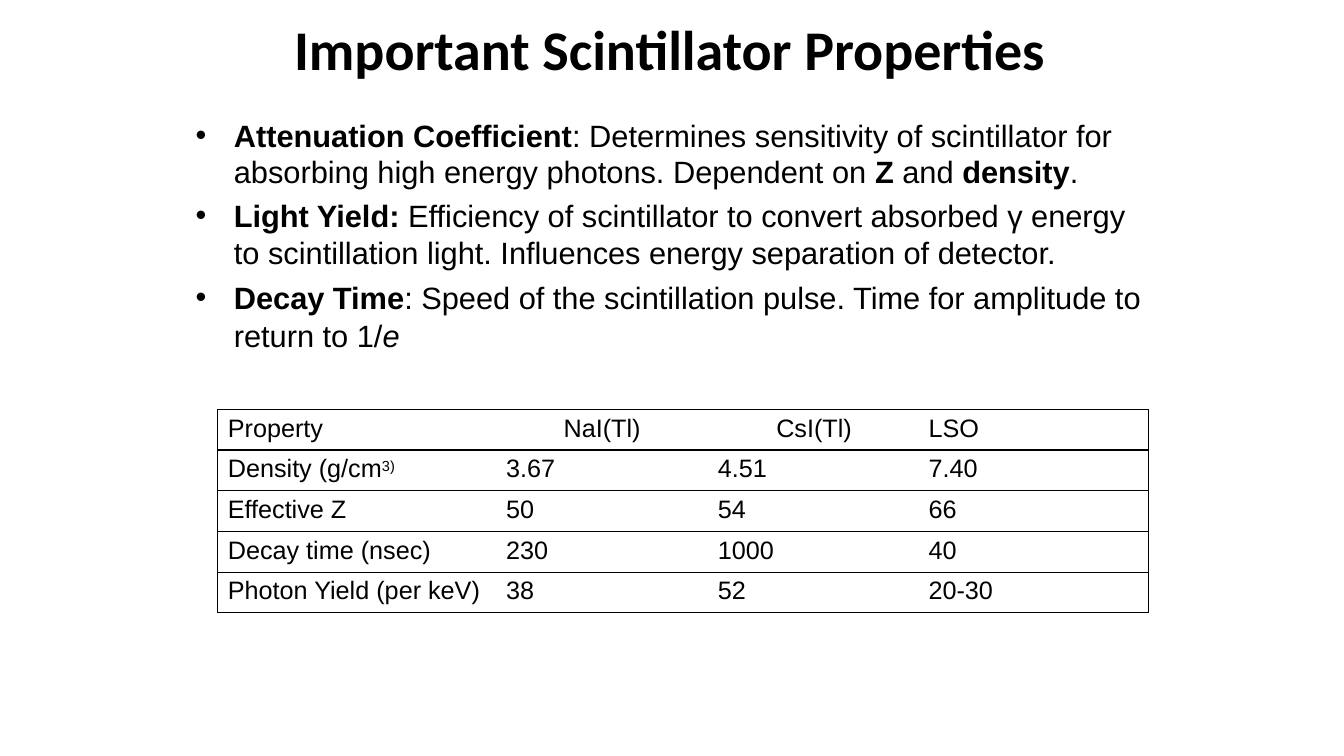
from lxml import etree
from pptx import Presentation
from pptx.dml.color import RGBColor
from pptx.enum.text import MSO_ANCHOR as Anchor, PP_ALIGN as Align
from pptx.oxml.ns import qn
from pptx.util import Inches, Pt

COLORS = {"ink": "000000"}
BOLD = {"bold": True}
ITALIC = {"italic": True}


def write(paragraph, runs, size, face="Arial"):
    for text, style in runs:
        run = paragraph.add_run()
        run.text = text
        look = {"size": Pt(size), "name": face, "bold": False, **style}
        for key, value in look.items():
            setattr(run.font, key, value)
        run.font.color.rgb = RGBColor.from_string(COLORS["ink"])


def set_border(properties, side, visible):
    line = etree.SubElement(properties, qn(f"a:ln{side}"), w=str(Pt(1)))
    if visible:
        fill = etree.SubElement(line, qn("a:solidFill"))
        etree.SubElement(fill, qn("a:srgbClr"), val=COLORS["ink"])
    else:
        etree.SubElement(line, qn("a:noFill"))


deck = Presentation()
deck.slide_width = Inches(13.33)
deck.slide_height = Inches(7.5)
slide = deck.slides.add_slide(deck.slide_layouts[6])

heading = slide.shapes.add_textbox(Inches(0.89), Inches(0.08), Inches(11.5), Inches(0.78)).text_frame
definitions = slide.shapes.add_textbox(Inches(1.93), Inches(1.13), Inches(9.42), Inches(2.39)).text_frame
for frame, top_inset in ((heading, 0.01), (definitions, 0.03)):
    margins = {"margin_left": 0, "margin_right": 0, "margin_top": Inches(top_inset), "margin_bottom": 0}
    for key, value in {"word_wrap": True, **margins}.items():
        setattr(frame, key, value)

heading.vertical_anchor = Anchor.MIDDLE
heading.paragraphs[0].alignment = Align.CENTER
write(heading.paragraphs[0], [("Important Scintillator Properties", BOLD)], 40, "Calibri")

properties_explained = [
    (Pt(26), 0, [
        ("Attenuation Coefficient", BOLD),
        (": Determines sensitivity of scintillator for absorbing high energy photons. Dependent on ", {}),
        ("Z ", BOLD), ("and ", {}), ("density", BOLD), (".", {})]),
    (1.02, 4.2, [
        ("Light Yield: ", BOLD),
        ("Efficiency of scintillator to convert absorbed γ energy to scintillation light. "
         "Influences energy separation of detector.", {})]),
    (1.02, 5, [
        ("Decay Time", BOLD),
        (": Speed of the scintillation pulse. Time for amplitude to return to 1/", {}),
        ("e", ITALIC)]),
]
for index, (line_spacing, space_before, runs) in enumerate(properties_explained):
    definition = definitions.add_paragraph() if index else definitions.paragraphs[0]
    definition.line_spacing = line_spacing
    definition.space_before = Pt(space_before)
    layout = definition._p.get_or_add_pPr()
    layout.set("marL", str(Inches(0.39)))
    layout.set("indent", str(Inches(-0.38)))
    etree.SubElement(layout, qn("a:buFont"), typeface="Arial")
    etree.SubElement(layout, qn("a:buChar"), char="•")
    write(definition, runs, 22)

column_widths = [2.73, 0.66, 1.19, 0.95, 1.14, 2.56]
materials = [
    ("Property", "NaI(Tl)", "CsI(Tl)", "LSO"),
    ("Density (g/cm", "3.67", "4.51", "7.40"),
    ("Effective Z", "50", "54", "66"),
    ("Decay time (nsec)", "230", "1000", "40"),
    ("Photon Yield (per keV)", "38", "52", "20-30"),
]
header_places = [(0, 0.1), (2, 0.04), (4, 0.01), (5, 0.38)]
value_places = [(0, 0.1), (1, 0.13), (3, 0.38), (5, 0.38)]

comparison = slide.shapes.add_table(
    len(materials), len(column_widths), Inches(2.16), Inches(4.06), Inches(9.23), Inches(2.02)).table
comparison.first_row = False
comparison.horz_banding = False
for column, width in zip(comparison.columns, column_widths):
    column.width = Inches(width)

last = len(column_widths) - 1
for row_index, row in enumerate(comparison.rows):
    row.height = Inches(0.404)
    for column_index, cell in enumerate(row.cells):
        cell.margin_left = cell.margin_right = cell.margin_bottom = 0
        cell.margin_top = Inches(0.05)
        borders = {"L": column_index == 0, "R": column_index == last, "T": True, "B": True}
        for side, visible in borders.items():
            set_border(cell._tc.get_or_add_tcPr(), side, visible)
        cell.fill.background()
    places = value_places if row_index else header_places
    for (column_index, indent), text in zip(places, materials[row_index]):
        entry = row.cells[column_index].text_frame.paragraphs[0]
        entry._p.get_or_add_pPr().set("marL", str(Inches(indent)))
        write(entry, [(text, {})], 18)

density_label = comparison.cell(1, 0).text_frame.paragraphs[0]
write(density_label, [("3)", {})], 18)
density_label.runs[-1].font._element.set("baseline", "25000")

deck.save("out.pptx")
